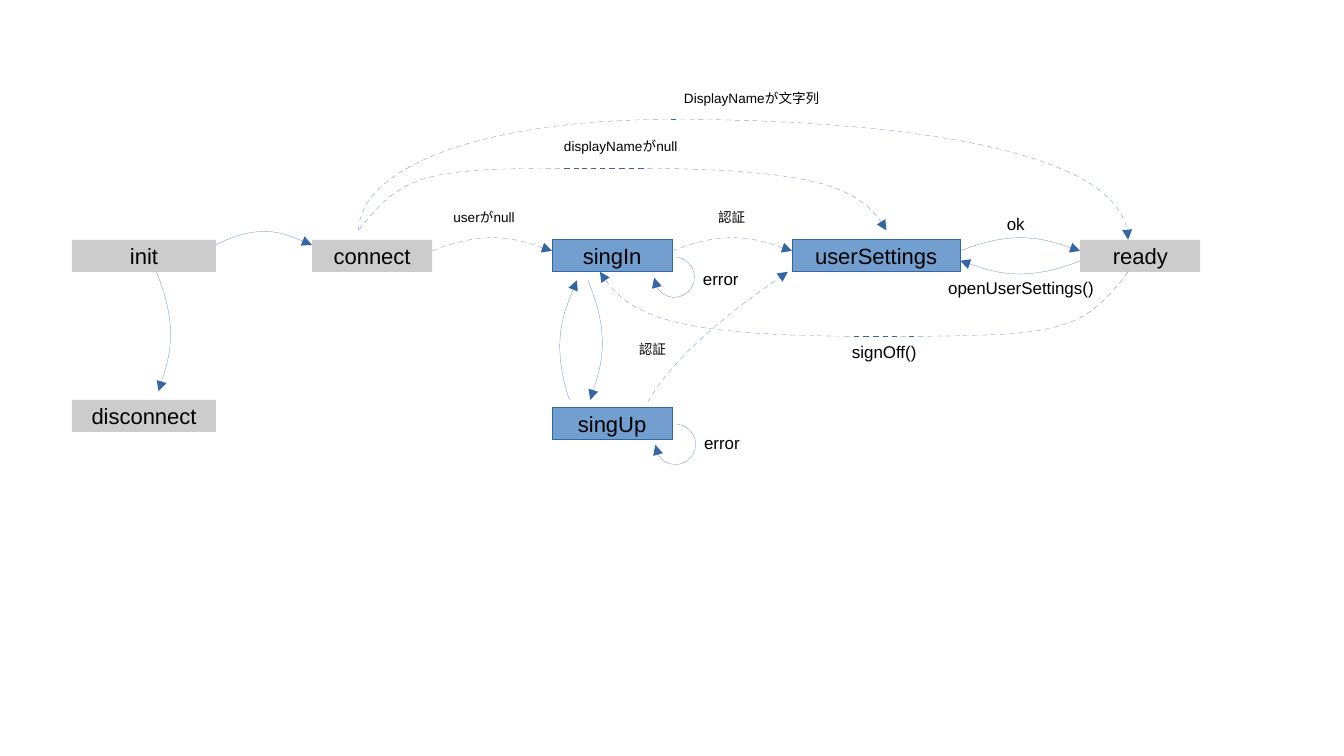
from lxml.etree import SubElement
from pptx import Presentation
from pptx.dml.color import RGBColor
from pptx.enum.dml import MSO_LINE
from pptx.enum.shapes import MSO_SHAPE
from pptx.enum.text import MSO_ANCHOR, MSO_AUTO_SIZE, PP_ALIGN
from pptx.oxml.ns import qn
from pptx.util import Pt

COLORS = {"plain": "CCCCCC", "form": "729FCF", "edge": "3465A4", "text": "000000"}
DIAGRAM_BOX = (42.5, 49.6)  # left, top
STATE_HEIGHT = 18.9
MAIN_ROW = 92
CURVE_STEPS = 60
HOP_BEND = 14.4
LOOP_SIZE = 23.8
LOOP_ANGLES = (274.25, 178.63)

# name: left, top, width, kind
STATES = {
    "init": (0, MAIN_ROW, 85, "plain"),
    "connect": (141.7, MAIN_ROW, 70.9, "plain"),
    "singIn": (283.4, MAIN_ROW, 70.9, "form"),
    "userSettings": (425.1, MAIN_ROW, 99.2, "form"),
    "ready": (595.2, MAIN_ROW, 70.9, "plain"),
    "disconnect": (0, 186.5, 85, "plain"),
    "singUp": (283.4, 191.3, 70.9, "form"),
}

# from, to, height below the top of the row, dashed
HOPS = [
    ("init", "connect", 3, False),
    ("connect", "singIn", 6.6, True),
    ("singIn", "userSettings", 6.6, True),
    ("userSettings", "ready", 6.6, False),
    ("ready", "userSettings", 12.4, False),
]

# start, then two control points and an end for each part; dashed
CURVES = [
    ([(293.7, 186.5), (281.5, 150.5), (298.1, 115.9), (298.1, 115.9)], False),
    ([(304.5, 115.9), (319.7, 151.2), (306, 186.5), (306, 186.5)], False),
    ([(49.7, 110.9), (64.8, 146.1), (51.1, 181.4), (51.1, 181.4)], False),
    ([(339.8, 187.9), (358.5, 154.8), (422.6, 110.9), (422.6, 110.9)], True),
    ([(623.5, 110.9), (595.4, 149), (581, 149), (468, 149),
      (354.2, 149), (326.1, 134.6), (311.7, 110.9)], True),
    ([(169.2, 86.4), (198, 48.9), (212.4, 49.7), (326.1, 49.7),
      (439.2, 49.7), (467.3, 62.6), (480.9, 86.4)], True),
    ([(169.2, 86.4), (169.9, 49.7), (241.2, 20.9), (354.2, 20.9),
      (468, 20.9), (623.5, 35.3), (623.5, 92)], True),
]

LOOPS = [(343.7, 102.2), (344.4, 200.9)]

# text, left, top, width, size
LABELS = [
    ("DisplayNameが文字列", 354.2, 0, 101.5, 8),
    ("displayNameがnull", 283.4, 28.1, 93.6, 8),
    ("userがnull", 218.1, 70.5, 93.6, 8),
    ("認証", 374.4, 70.5, 33.8, 8),
    ("認証", 327.6, 148.3, 33.8, 8),
    ("ok", 544.8, 72.7, 26, 10),
    ("openUserSettings()", 510.2, 110.9, 100, 10),
    ("signOff()", 453.4, 148.7, 56.9, 10),
    ("error", 365.4, 105.6, 36, 10),
    ("error", 366.1, 202.3, 36, 10),
]


def set_format(target, values):
    for name, value in values.items():
        setattr(target, name, value)


def color(name):
    return RGBColor.from_string(COLORS[name])


def write(frame, text, size, align):
    para = frame.paragraphs[0]
    para.alignment = align
    span = para.add_run()
    span.text = text
    set_format(span.font, {"name": "Arial", "size": Pt(size)})
    span.font.color.rgb = color("text")


def outline(shape):
    """Give the shape the hairline edge and return its line element."""
    shape.line.color.rgb = color("edge")
    line = shape.line._get_or_add_ln()
    line.set("w", "0")
    return line


def make_arrow(shape, dashed=False):
    """Turn an open outline into an arrow."""
    shape.shadow.inherit = False
    shape.fill.background()
    line = outline(shape)
    if dashed:
        shape.line.dash_style = MSO_LINE.DASH
    SubElement(line, qn("a:tailEnd"), type="triangle")


def bezier_values(controls):
    """List the values that one coordinate takes along a chain of cubic curves."""
    values = []
    for index in range(0, len(controls) - 1, 3):
        first, second, third, last = controls[index:index + 4]
        for step in range(CURVE_STEPS + 1):
            t = step / CURVE_STEPS
            values.append(first * (1 - t) ** 3 + 3 * second * t * (1 - t) ** 2
                          + 3 * third * t * t * (1 - t) + last * t ** 3)
    return values


def add_curve(page, controls):
    """Draw a chain of cubic curves in a frame that fits the curve itself."""
    builder = page.shapes.build_freeform(*controls[0])
    builder.add_line_segments(controls[1:], close=False)
    shape = builder.convert_to_shape()
    track = shape.element.xpath(".//a:path")[0]
    corners = track.findall(qn("a:lnTo"))
    for index, corner in enumerate(corners):
        if index % 3 == 0:
            curve = SubElement(track, qn("a:cubicBezTo"))
        curve.append(corner[0])
        track.remove(corner)

    frame = zip(zip(*controls), ("left", "top"), ("width", "height"), "xy", "wh")
    for axis, start, length, coordinate, extent in frame:
        values = bezier_values(axis)
        low, size = int(min(values)), int(max(values) - min(values))
        shift = low - getattr(shape, start)
        for point in track.iter(qn("a:pt")):
            point.set(coordinate, str(int(point.get(coordinate)) - shift))
        track.set(extent, str(size))
        set_format(shape, {start: low, length: size})
    return shape


def hop(source, target, drop):
    """Find the curve between the facing sides of two states in the main row."""
    forward = STATES[source][0] < STATES[target][0]
    left, right = (source, target) if forward else (target, source)
    ends = [STATES[left][0] + STATES[left][2], STATES[right][0]]
    bend = -HOP_BEND if forward else HOP_BEND
    start, end = ends if forward else ends[::-1]
    y = MAIN_ROW + drop
    return [(start, y), ((start + end) / 2, y + bend), (end, y), (end, y)]


def add_states(page, box):
    for name, (x, y, width, kind) in STATES.items():
        shape = page.shapes.add_shape(MSO_SHAPE.RECTANGLE, Pt(box[0] + x), Pt(box[1] + y),
                                      Pt(width), Pt(STATE_HEIGHT))
        shape.shadow.inherit = False
        shape.fill.solid()
        shape.fill.fore_color.rgb = color(kind)
        if kind == "form":
            outline(shape)
        else:
            shape.line.fill.background()
        set_format(shape.text_frame, {"vertical_anchor": MSO_ANCHOR.MIDDLE, "word_wrap": True})
        write(shape.text_frame, name, 13, PP_ALIGN.CENTER)


def add_transitions(page, box):
    hops = [(hop(source, target, drop), dashed) for source, target, drop, dashed in HOPS]
    for controls, dashed in hops + CURVES:
        placed = [(Pt(box[0] + x), Pt(box[1] + y)) for x, y in controls]
        make_arrow(add_curve(page, placed), dashed)
    for x, y in LOOPS:
        loop = page.shapes.add_shape(MSO_SHAPE.ARC, Pt(box[0] + x), Pt(box[1] + y),
                                     Pt(LOOP_SIZE), Pt(LOOP_SIZE))
        for index, degrees in enumerate(LOOP_ANGLES):
            loop.adjustments[index] = degrees * 0.6
        make_arrow(loop)


def add_labels(page, box):
    for text, x, y, width, size in LABELS:
        label = page.shapes.add_textbox(Pt(box[0] + x), Pt(box[1] + y), Pt(width),
                                        Pt(18 if size == 10 else 21.6))
        set_format(label.text_frame, {"word_wrap": False,
                                      "auto_size": MSO_AUTO_SIZE.SHAPE_TO_FIT_TEXT})
        write(label.text_frame, text, size, PP_ALIGN.LEFT)


def main():
    deck = Presentation()
    set_format(deck, {"slide_width": Pt(793.44), "slide_height": Pt(446.4)})
    page = deck.slides.add_slide(deck.slide_layouts[6])
    for add_region in (add_states, add_transitions, add_labels):
        add_region(page, DIAGRAM_BOX)
    deck.save("out.pptx")


if __name__ == "__main__":
    main()
